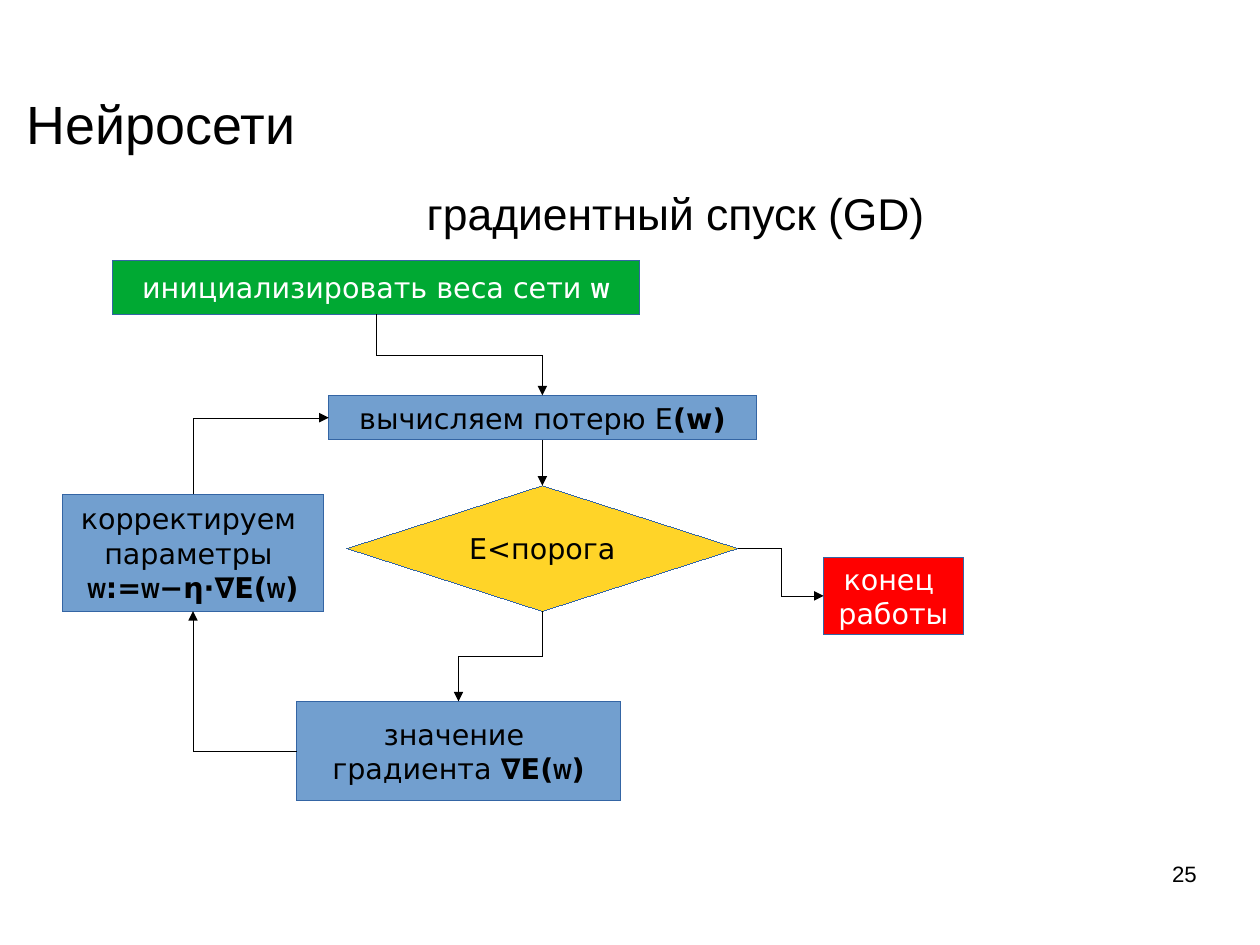
import pptx
import pptx.util
import pptx.dml.color
import pptx.enum.shapes
import pptx.enum.text
import pptx.oxml.ns
import lxml.etree

SLIDE_SIZE = (28, 21)
MAIN, WEIGHT = "DejaVu Sans", "Arial Narrow"
W = ("w", WEIGHT, True)
WHITE, BLACK = "FFFFFF", "000000"
GREEN, BLUE, YELLOW, RED, EDGE = "00A933", "729FCF", "FFD428", "FF0000", "3465A4"
TOP, LEFT, BOTTOM, RIGHT = range(4)
ANGLE = {RIGHT: 0, BOTTOM: 90, LEFT: 180, TOP: 270}

TITLE = ([("Нейросети", 33.9)], (2.14, 9.79, 87.93, 6.41))
SUBTITLE = ([("градиентный спуск (GD)", 28), (" ", 33.9)], (32.98, 18.14, 44.92, 7.62))
PAGE = ([("25", 14)], (71.67, 91.05, 23.32, 6.89))

STEPS = {
    "init": ("RECTANGLE", (8.92, 27.57, 41.8, 5.68), GREEN, WHITE,
             [[("инициализировать веса сети ", MAIN, False), W]]),
    "loss": ("RECTANGLE", (26.08, 41.84, 33.94, 4.72), BLUE, BLACK,
             [[("вычисляем потерю E", MAIN, False), ("(w)", MAIN, True)]]),
    "test": ("DIAMOND", (27.54, 51.39, 31.02, 13.3), YELLOW, BLACK,
             [[("E<порога", MAIN, False)]]),
    "end": ("RECTANGLE", (65.37, 59.01, 11.07, 8.1), RED, WHITE,
            [[("конец ", MAIN, False)], [("работы", MAIN, False)]]),
    "gradient": ("RECTANGLE", (23.54, 74.21, 25.7, 10.52), BLUE, BLACK,
                 [[("значение ", MAIN, False)],
                  [("градиента ", MAIN, False), ("∇E(", MAIN, True), W, (")", MAIN, True)]]),
    "correct": ("RECTANGLE", (4.97, 52.32, 20.7, 12.36), BLUE, BLACK,
                [[("корректируем ", MAIN, False)], [("параметры ", MAIN, False)],
                 [W, (":=", MAIN, True), W, ("−η⋅∇E(", MAIN, True), W, (")", MAIN, True)]]),
}

FLOW = [
    ("init", BOTTOM, "loss", TOP),
    ("loss", BOTTOM, "test", TOP),
    ("test", RIGHT, "end", LEFT),
    ("test", BOTTOM, "gradient", TOP),
    ("gradient", LEFT, "correct", BOTTOM),
    ("correct", TOP, "loss", LEFT),
]


def color(value):
    return pptx.dml.color.RGBColor.from_string(value)


def area(shares):
    return [pptx.util.Cm(share * SLIDE_SIZE[i % 2] / 100) for i, share in enumerate(shares)]


def add_run(paragraph, text, font, size, ink, bold=False):
    run = paragraph.add_run()
    run.text = text
    run.font.name = font
    run.font.size = pptx.util.Pt(size)
    run.font.bold = bold
    run.font.color.rgb = color(ink)


def set_frame(frame, wrap, anchor, side, end):
    frame.word_wrap = wrap
    frame.vertical_anchor = anchor
    frame.margin_left = frame.margin_right = pptx.util.Inches(side)
    frame.margin_top = frame.margin_bottom = pptx.util.Inches(end)


def draw_hairline(part, ink):
    part.line.color.rgb = color(ink)
    line = part._element.spPr.find(pptx.oxml.ns.qn("a:ln"))
    line.set("w", "0")
    return line


def add_step(slide, kind, shares, fill, ink, lines):
    step = slide.shapes.add_shape(getattr(pptx.enum.shapes.MSO_SHAPE, kind), *area(shares))
    step.shadow.inherit = False
    step.fill.solid()
    step.fill.fore_color.rgb = color(fill)
    draw_hairline(step, EDGE)
    frame = step.text_frame
    set_frame(frame, False, pptx.enum.text.MSO_ANCHOR.MIDDLE, 0.1, 0.05)
    for i, line in enumerate(lines):
        paragraph = frame.add_paragraph() if i else frame.paragraphs[0]
        paragraph.alignment = pptx.enum.text.PP_ALIGN.CENTER
        for text, font, bold in line:
            add_run(paragraph, text, font, 18, ink, bold)
    return step


def site(step, side):
    x = {LEFT: 0, RIGHT: 2}.get(side, 1)
    y = {TOP: 0, BOTTOM: 2}.get(side, 1)
    return step.left + step.width * x // 2, step.top + step.height * y // 2


def add_arrow(slide, source, source_side, target, target_side):
    (x1, y1), (x2, y2) = site(source, source_side), site(target, target_side)
    arrow = slide.shapes.add_connector(pptx.enum.shapes.MSO_CONNECTOR.ELBOW, x1, y1, x2, y2)
    arrow.begin_connect(source, source_side)
    arrow.end_connect(target, target_side)

    dx, dy = x2 - x1, y2 - y1
    vertical = source_side in (TOP, BOTTOM)
    along, across = (abs(dy), abs(dx)) if vertical else (abs(dx), abs(dy))
    turn = {RIGHT: dy, BOTTOM: -dx, LEFT: -dy, TOP: dx}[source_side]
    arrow.left, arrow.top = (x1 + x2 - along) // 2, (y1 + y2 - across) // 2
    arrow.width, arrow.height = along, across

    properties = arrow._element.spPr
    placement = properties.find(pptx.oxml.ns.qn("a:xfrm"))
    placement.set("rot", str(ANGLE[source_side] * 60000))
    placement.set("flipH", "0")
    placement.set("flipV", "1" if turn < 0 else "0")
    if (target_side in (TOP, BOTTOM)) != vertical:
        properties.find(pptx.oxml.ns.qn("a:prstGeom")).set("prst", "bentConnector2")
    line = draw_hairline(arrow, BLACK)
    lxml.etree.SubElement(line, pptx.oxml.ns.qn("a:tailEnd")).set("type", "triangle")
    lxml.etree.SubElement(properties, pptx.oxml.ns.qn("a:effectLst"))


def fill_label(label, runs, align, anchor, side=0, end=0):
    set_frame(label.text_frame, True, anchor, side, end)
    paragraph = label.text_frame.paragraphs[0]
    paragraph.alignment = align
    for text, size in runs:
        add_run(paragraph, text, "Arial", size, BLACK)


def main():
    deck = pptx.Presentation()
    deck.slide_width, deck.slide_height = map(pptx.util.Cm, SLIDE_SIZE)
    slide = deck.slides.add_slide(deck.slide_layouts[5])
    align, anchor = pptx.enum.text.PP_ALIGN, pptx.enum.text.MSO_ANCHOR

    runs, shares = TITLE
    title = slide.shapes.title
    title.left, title.top, title.width, title.height = area(shares)
    fill_label(title, runs, align.LEFT, anchor.MIDDLE)

    steps = {name: add_step(slide, *step) for name, step in STEPS.items()}
    for source, source_side, target, target_side in FLOW:
        add_arrow(slide, steps[source], source_side, steps[target], target_side)

    runs, shares = SUBTITLE
    fill_label(slide.shapes.add_textbox(*area(shares)), runs, align.LEFT, anchor.TOP, 0.1, 0.05)
    runs, shares = PAGE
    fill_label(slide.shapes.add_textbox(*area(shares)), runs, align.RIGHT, anchor.TOP)
    deck.save("out.pptx")


if __name__ == "__main__":
    main()
